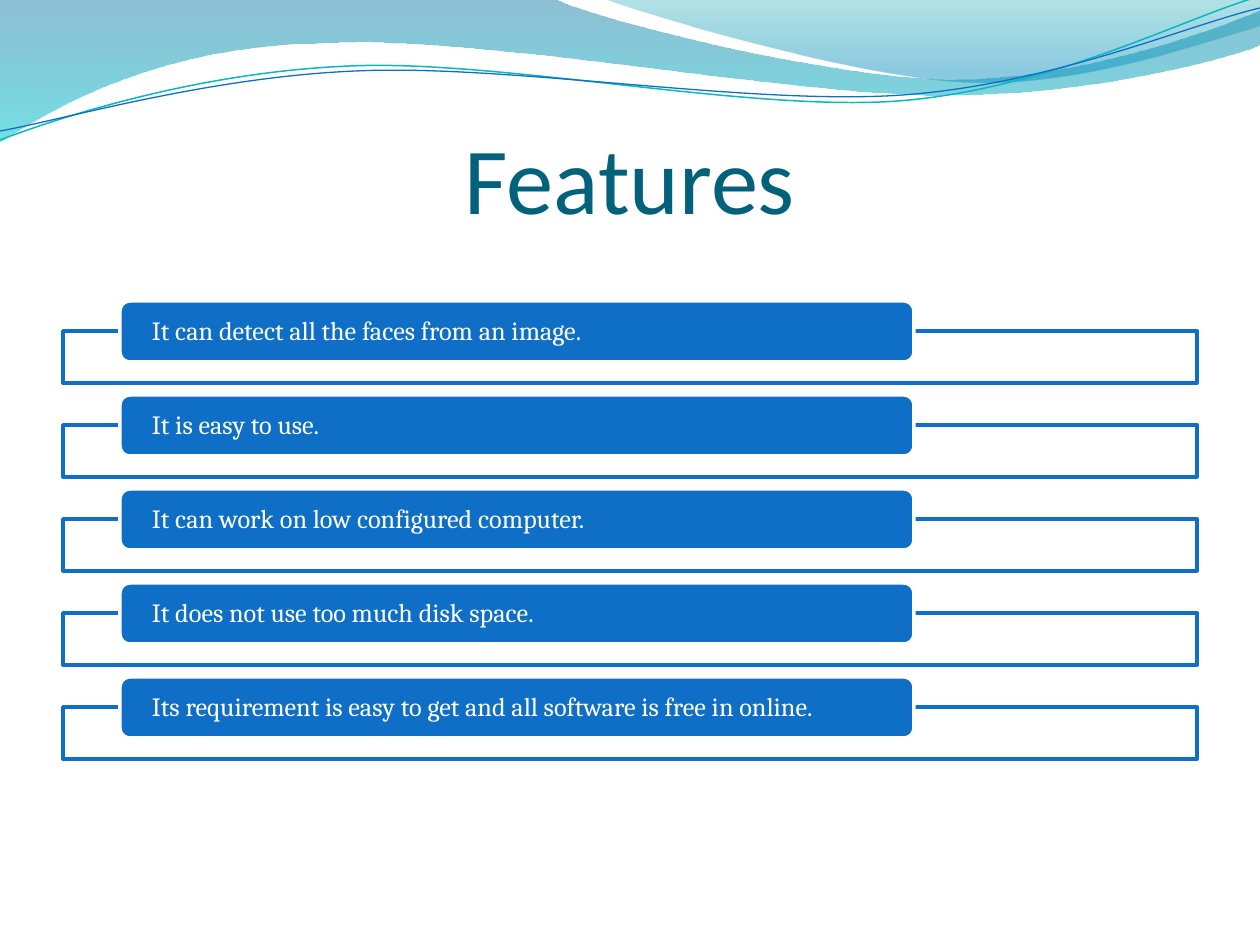
"""Build the Features slide: wave header, title and five feature bars."""
from lxml import etree
from pptx import Presentation
from pptx.dml.color import RGBColor
from pptx.enum.shapes import MSO_SHAPE
from pptx.enum.text import MSO_ANCHOR, PP_ALIGN
from pptx.oxml.ns import qn
from pptx.util import Pt

RECT, ROUND = MSO_SHAPE.RECTANGLE, MSO_SHAPE.ROUNDED_RECTANGLE
MIDDLE, BOTTOM = MSO_ANCHOR.MIDDLE, MSO_ANCHOR.BOTTOM
LEFT, CENTER = PP_ALIGN.LEFT, PP_ALIGN.CENTER
SCALE = 914400 / 126
BAR_STEP = 94

COLORS = {
    "white": "FFFFFF", "blue": "0F6FC6", "title": "04617B", "line_teal": "0AB8BF",
    "deep_blue": "0074A1", "aqua": "00C6CF", "teal": "00A1A9", "sky": "008BBF",
}
FEATURES = [
    "It can detect all the faces from an image.",
    "It is easy to use.",
    "It can work on low configured computer.",
    "It does not use too much disk space.",
    "Its requirement is easy to get and all software is free in online.",
]
BACK_WAVE = [
    (0, 0), (554, -1), (600, 21, 837, 79, 955, 79), (1075, 79, 1207, 33, 1260, 11),
    (1261, 45), (1239, 55, 1096, 96, 940, 95), (784, 95, 481, 35, 324, 43),
    (163, 45, 58, 105, -1, 142),
]
FRONT_WAVE = [
    (604, -1), (641, 14, 859, 78, 969, 82), (1079, 87, 1211, 40, 1260, 26), (1260, 0),
]
TEAL_LINE = [
    (0, 140), (60, 117, 199, 72, 349, 66), (498, 59, 747, 112, 898, 101),
    (1050, 89, 1182, 19, 1257, -3),
]
BLUE_LINE = [
    (0, 131), (59, 121, 207, 77, 357, 71), (508, 64, 752, 106, 903, 95),
    (1053, 84, 1185, 26, 1260, 8),
]


def px(n):
    """Turn pixels into EMU."""
    return round(n * SCALE)


def rgb(name):
    """Return a named colour."""
    return RGBColor.from_string(COLORS[name])


def set_alpha(clr, percent):
    """Give a colour element an opacity."""
    etree.SubElement(clr, qn("a:alpha")).set("val", str(percent * 1000))


def set_line(s, color, width):
    """Set the outline of a shape."""
    s.line.color.rgb = rgb(color)
    s.line.width = Pt(width)


def bend(s, path):
    """Join each three line steps of a curved segment into one cubic Bezier."""
    steps = iter(list(s._element.spPr.iter(qn("a:lnTo"))))
    for seg in path[1:]:
        first = next(steps)
        if len(seg) == 6:
            first.tag = qn("a:cubicBezTo")
            for step in (next(steps), next(steps)):
                first.append(step[0])
                step.getparent().remove(step)


def add_curve(shapes, path, close):
    """Add a freeform of straight and cubic segments."""
    points = [(px(seg[i]), px(seg[i + 1])) for seg in path for i in range(0, len(seg), 2)]
    builder = shapes.build_freeform(*points[0], scale=1.0)
    builder.add_line_segments(points[1:], close=close)
    s = builder.convert_to_shape()
    bend(s, path)
    s.shadow.inherit = False
    return s


def add_wave(shapes, path, stops):
    """Add a wave with a translucent vertical gradient."""
    s = add_curve(shapes, path, True)
    s.line.fill.background()
    s.fill.gradient()
    s.fill.gradient_angle = 270
    for stop, (position, color, _) in zip(s.fill.gradient_stops, stops):
        stop.position = position
        stop.color.rgb = rgb(color)
    for clr, (_, _, alpha) in zip(s._element.spPr.iter(qn("a:srgbClr")), stops):
        set_alpha(clr, alpha)


def add_wave_line(shapes, path, color, width):
    """Add a thin open curve."""
    s = add_curve(shapes, path, False)
    s.fill.background()
    set_line(s, color, width)


def add_box(shapes, kind, box, fill, line):
    """Add a filled and outlined preset shape."""
    s = shapes.add_shape(kind, *map(px, box))
    s.shadow.inherit = False
    s.fill.solid()
    s.fill.fore_color.rgb = rgb(fill)
    set_line(s, line, 2)
    return s


def add_text(shapes, box, text, *, font, size, color, align=LEFT, anchor=MIDDLE,
             inset=(0, 0), spacing=1.0):
    """Add a text box of one paragraph, with side and top insets in px."""
    tf = shapes.add_textbox(*map(px, box)).text_frame
    tf.word_wrap = True
    tf.vertical_anchor = anchor
    tf.margin_left = tf.margin_right = px(inset[0])
    tf.margin_top, tf.margin_bottom = px(inset[1]), 0
    p = tf.paragraphs[0]
    p.alignment = align
    p.line_spacing = spacing
    r = p.add_run()
    r.text = text
    r.font.name = font
    r.font.size = Pt(size)
    r.font.color.rgb = rgb(color)


def add_feature(shapes, text, top):
    """Add an outlined frame with a feature bar over its top edge."""
    frame = add_box(shapes, RECT, (63, top + 30, 1134, 52), "white", "blue")
    set_alpha(next(frame._element.spPr.iter(qn("a:srgbClr"))), 90)
    add_box(shapes, ROUND, (120, top, 794, 61), "blue", "white")
    add_text(shapes, (122, top + 3, 788, 55), text, font="Cambria", size=15,
             color="white", inset=(30, 0), spacing=0.9)


def main():
    """Build and save the slide."""
    prs = Presentation()
    prs.slide_width, prs.slide_height = px(1260), px(945)
    shapes = prs.slides.add_slide(prs.slide_layouts[6]).shapes
    add_wave(shapes, BACK_WAVE, [(0, "deep_blue", 45), (1, "aqua", 55)])
    add_wave(shapes, FRONT_WAVE, [(0, "teal", 30), (0.8, "sky", 45)])
    add_wave_line(shapes, TEAL_LINE, "line_teal", 0.85)
    add_wave_line(shapes, BLUE_LINE, "blue", 0.75)
    add_text(shapes, (63, 84, 1134, 149), "Features", font="Calibri", size=54,
             color="title", align=CENTER, anchor=BOTTOM, inset=(0, 6))
    for i, text in enumerate(FEATURES):
        add_feature(shapes, text, 301 + i * BAR_STEP)
    prs.save("out.pptx")


if __name__ == "__main__":
    main()
